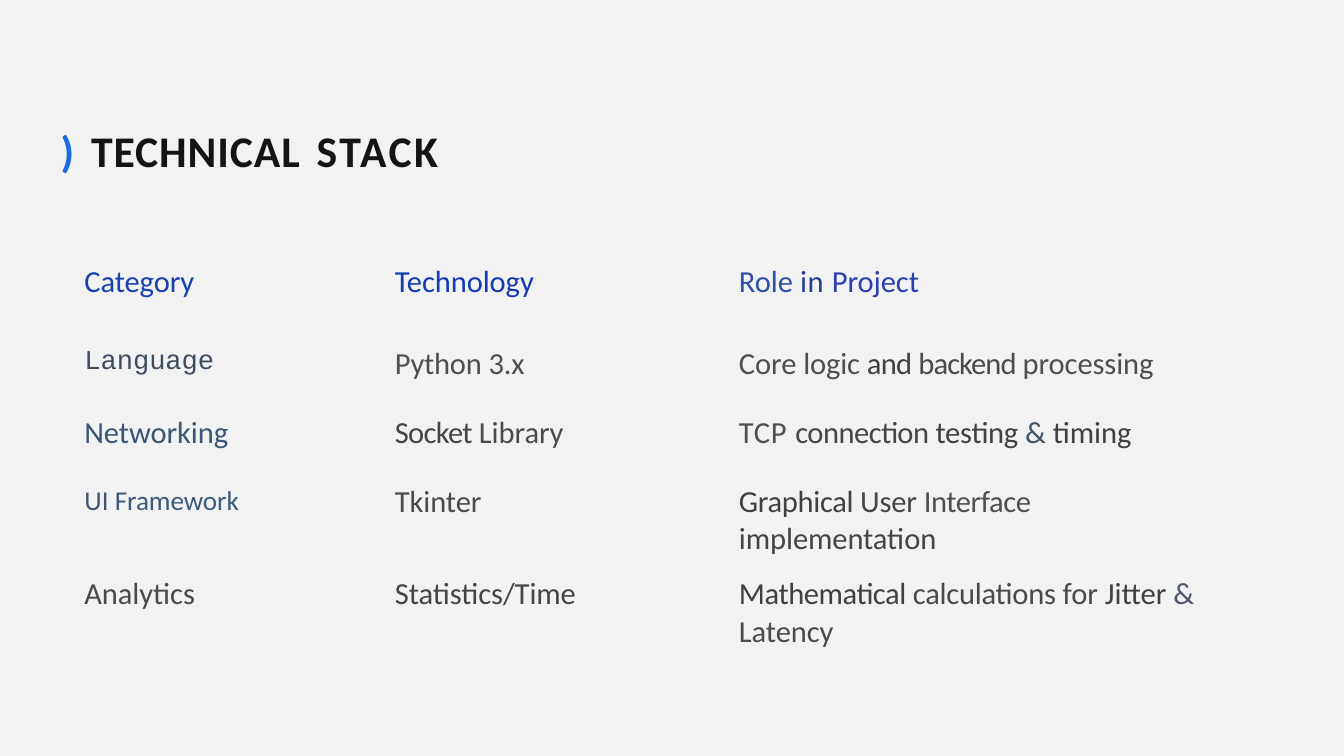
import pptx
import pptx.util
import pptx.dml.color
import pptx.enum.text
from lxml import etree

Inches, Pt = pptx.util.Inches, pptx.util.Pt
RGB = pptx.dml.color.RGBColor.from_string
NO_STYLE_NO_GRID = "{2D5ABB26-0587-4C30-8999-92F81FD0307C}"

COLORS = {
    "background": "F2F2F2", "accent": "186DE1", "title": "141414",
    "category": "1641AF", "technology": "133BB5",
    "role": "2F4FA8", "in": "233F93", "project": "2B3FB5",
    "language": "3F4D62", "networking": "3A5677",
    "ui": "42546B", "framework": "3B597B",
    "ampersand": "415669", "ampersand_soft": "50596E",
    "light": "4F4F4F", "mid": "4A4A4A", "deep": "454545", "dark": "404040",
}


def add_runs(p, runs, **font):
    """Add (text, colour, letter spacing in points) runs to a paragraph."""
    for text, color, spacing in runs:
        r = p.add_run()
        r.text = text
        for name, value in font.items():
            setattr(r.font, name, value)
        r.font.color.rgb = RGB(COLORS[color])
        r.font._element.set("spc", str(round(spacing * 100)))


prs = pptx.Presentation()
prs.slide_width, prs.slide_height = Inches(21.99), Inches(12.37)
s = prs.slides.add_slide(prs.slide_layouts[5])
s.background.fill.solid()
s.background.fill.fore_color.rgb = RGB(COLORS["background"])

# Title
sp = s.shapes.title
sp.left, sp.top, sp.width, sp.height = map(Inches, (0.99, 2.02, 7.33, 0.88))
tf = sp.text_frame
title_format = {
    "margin_left": 0, "margin_top": Inches(0.01), "margin_right": 0, "margin_bottom": 0,
    "vertical_anchor": pptx.enum.text.MSO_ANCHOR.TOP, "word_wrap": True,
    "auto_size": pptx.enum.text.MSO_AUTO_SIZE.SHAPE_TO_FIT_TEXT,
}
for name, value in title_format.items():
    setattr(tf, name, value)
p = tf.paragraphs[0]
p.alignment = pptx.enum.text.PP_ALIGN.LEFT
pPr = p._p.get_or_add_pPr()
tabs = etree.SubElement(pPr, pptx.oxml.ns.qn("a:tabLst"))
for position in (0.5, 4.19):
    etree.SubElement(tabs, pptx.oxml.ns.qn("a:tab"), pos=str(Inches(position)), algn="l")
add_runs(p, [(")\t", "accent", -6), ("TECHNICAL\t", "title", 1.1), ("STACK", "title", 3)],
         name="Calibri", size=Pt(51.5), bold=True)

# Technology table
rows = [
    [[("Category", "category", -0.1)],
     [("Technology", "technology", -0.1)],
     [("Role ", "role", 0), ("in ", "in", 0.7), ("Project", "project", -0.1)]],
    [[("Language", "language", -0.1)],
     [("Python ", "light", -0.3), ("3.x", "light", -0.2)],
     [("Core ", "light", -0.1), ("logic ", "light", -0.2), ("and ", "dark", -0.8),
      ("backend ", "mid", -1.1), ("processing", "light", -0.1)]],
    [[("Networking", "networking", -0.1)],
     [("Socket ", "deep", -0.8), ("Library", "mid", -0.1)],
     [("TCP ", "light", 0.9), ("connection ", "deep", -0.6), ("testing ", "dark", -0.3),
      ("& ", "ampersand", 0), ("timing", "dark", -0.1)]],
    [[("UI ", "ui", 0), ("Framework", "framework", -0.1)],
     [("Tkinter", "mid", -0.1)],
     [("Graphical ", "dark", -0.4), ("User ", "deep", -0.2),
      ("Interface ", "light", -0.5), ("implementation", "deep", -0.1)]],
    [[("Analytics", "mid", -0.1)],
     [("Statistics/Time", "deep", -0.1)],
     [("Mathematical ", "dark", -0.5), ("calculations ", "mid", -0.3), ("for ", "mid", -0.1),
      ("Jitter ", "dark", 0), ("& ", "ampersand_soft", 0), ("Latency", "mid", -0.1)]],
]
col_widths = [3.95, 5.6, 9.27]
col_indents = [0.04, 1.17, 1.2]
row_heights = [0.74, 1.13, 1.13, 1.13, 0.74]
small_cells = {(1, 0): "Courier New", (3, 0): "Calibri"}

table = s.shapes.add_table(len(rows), len(col_widths), Inches(1.34), Inches(4.6),
                           Inches(sum(col_widths)), Inches(sum(row_heights))).table
table.first_row = table.horz_banding = False
table._tbl.tblPr.find(pptx.oxml.ns.qn("a:tableStyleId")).text = NO_STYLE_NO_GRID
for column, width in zip(table.columns, col_widths):
    column.width = Inches(width)
for i, (row, height) in enumerate(zip(rows, row_heights)):
    table.rows[i].height = Inches(height)
    for j, runs in enumerate(row):
        cell = table.cell(i, j)
        cell.fill.background()
        small = (i, j) in small_cells
        top = 0 if i == 0 else 0.33 if small else 0.31
        cell_format = {"margin_left": 0, "margin_top": Inches(top),
                       "margin_right": 0, "margin_bottom": 0}
        for name, value in cell_format.items():
            setattr(cell, name, value)
        p = cell.text_frame.paragraphs[0]
        p._p.get_or_add_pPr().set("marL", str(Inches(col_indents[j])))
        if i == 0:
            p.line_spacing = Pt(23.2)
        add_runs(p, runs, name=small_cells.get((i, j), "Calibri"), size=Pt(32 if small else 36))

prs.save("out.pptx")
